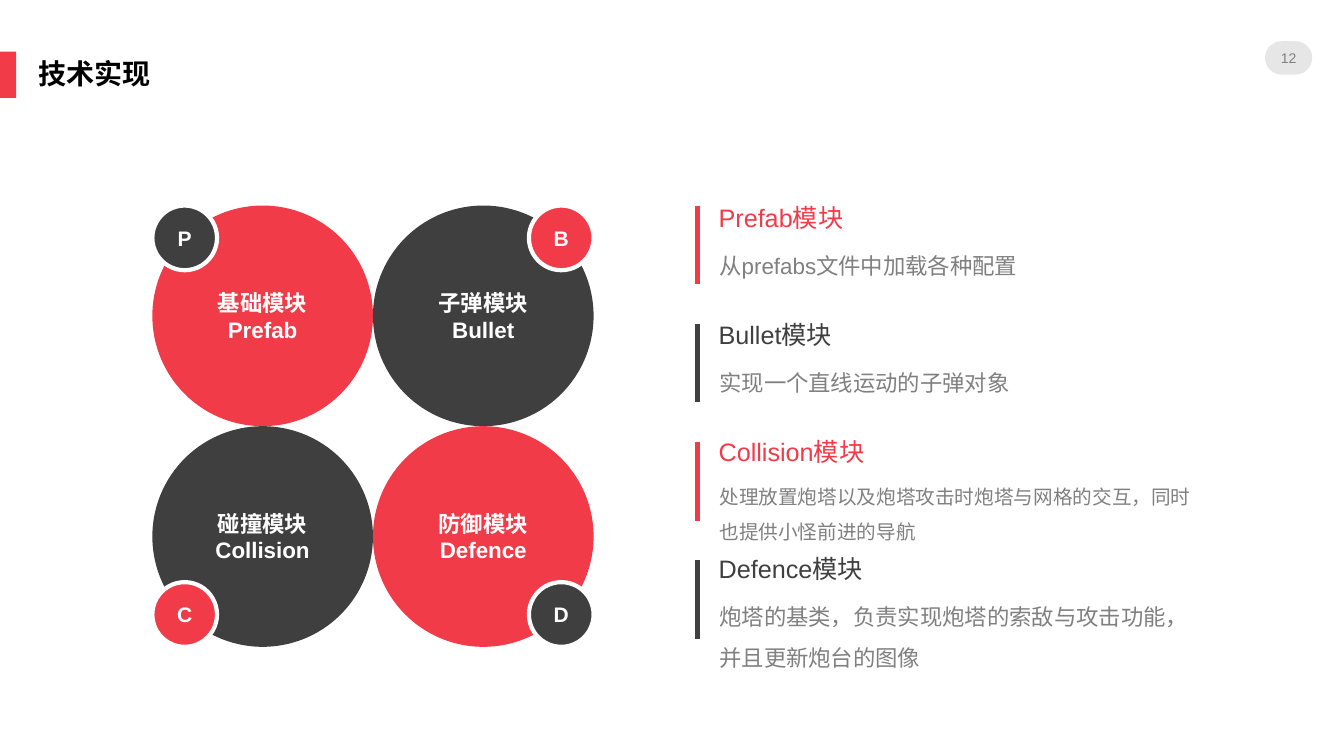
from dataclasses import dataclass

from lxml.etree import SubElement
from pptx import Presentation
from pptx.dml.color import RGBColor
from pptx.enum.shapes import MSO_CONNECTOR, MSO_SHAPE
from pptx.enum.text import MSO_ANCHOR, PP_ALIGN
from pptx.oxml.ns import qn
from pptx.shapes.autoshape import Shape
from pptx.slide import Slide
from pptx.util import Cm, Pt

RED = RGBColor(0xF2, 0x3B, 0x48)
DARK = RGBColor(0x3F, 0x3F, 0x3F)
GRAY = RGBColor(0x80, 0x80, 0x80)
PALE = RGBColor(0xE7, 0xE6, 0xE6)
WHITE = RGBColor(0xFF, 0xFF, 0xFF)
BLACK = RGBColor(0x00, 0x00, 0x00)

GRID_LEFT, GRID_TOP = 3.84, 5.18
CIRCLE, BADGE = 5.56, 1.63
BAR_LEFT, BAR_HEIGHT, BAR_PITCH = 17.58, 1.98, 2.98
ENTRY_LEFT, ENTRY_WIDTH, ENTRY_PITCH = 18.11, 11.9, 2.95
HEADING_HEIGHT, DETAIL_HEIGHT = 0.84, 1.42

CENTERED = {"alignment": PP_ALIGN.CENTER}
HEADING = {"line_spacing": 0.9, "space_before": Pt(7.5)}
DETAIL = {"line_spacing": 1.5, "space_before": Pt(7.5)}
TITLE = {"line_spacing": 0.9, "space_before": Pt(10)}


@dataclass(frozen=True)
class Module:
    chinese: str
    english: str
    color: RGBColor
    badge_color: RGBColor
    detail: str
    detail_size: int = 16


MODULES = [
    Module("基础模块", "Prefab", RED, DARK, "从prefabs文件中加载各种配置"),
    Module("子弹模块", "Bullet", DARK, RED, "实现一个直线运动的子弹对象"),
    Module("碰撞模块", "Collision", DARK, RED,
           "处理放置炮塔以及炮塔攻击时炮塔与网格的交互，同时也提供小怪前进的导航", 14),
    Module("防御模块", "Defence", RED, DARK,
           "炮塔的基类，负责实现炮塔的索敌与攻击功能，并且更新炮台的图像"),
]


def write(sp: Shape, lines: list[str], size: float, color: RGBColor, layout: dict,
          bold: bool = False, anchor: MSO_ANCHOR = MSO_ANCHOR.TOP,
          margins: tuple[float, float] = (0, 0)) -> None:
    """Fill a shape with one paragraph per line; margins are (side, top and bottom) in cm."""
    tf = sp.text_frame
    tf.word_wrap = True
    tf.vertical_anchor = anchor
    tf.margin_left = tf.margin_right = Cm(margins[0])
    tf.margin_top = tf.margin_bottom = Cm(margins[1])
    for i, line in enumerate(lines):
        p = tf.add_paragraph() if i else tf.paragraphs[0]
        for name, value in layout.items():
            setattr(p, name, value)
        r = p.add_run()
        r.text = line
        for name, value in {"name": "Arial", "size": Pt(size), "bold": bold}.items():
            setattr(r.font, name, value)
        r.font.color.rgb = color


def add_box(s: Slide, left: float, top: float, width: float, height: float) -> Shape:
    return s.shapes.add_textbox(Cm(left), Cm(top), Cm(width), Cm(height))


def add_filled(s: Slide, kind: MSO_SHAPE, left: float, top: float,
               width: float, height: float, fill: RGBColor) -> Shape:
    sp = s.shapes.add_shape(kind, Cm(left), Cm(top), Cm(width), Cm(height))
    sp.shadow.inherit = False
    sp.fill.solid()
    sp.fill.fore_color.rgb = fill
    sp.line.fill.background()
    return sp


def add_bar(s: Slide, top: float, color: RGBColor) -> None:
    bar = s.shapes.add_connector(MSO_CONNECTOR.STRAIGHT, Cm(BAR_LEFT), Cm(top),
                                 Cm(BAR_LEFT), Cm(top + BAR_HEIGHT))
    bar.line.color.rgb = color
    bar.line.width = Pt(4)
    SubElement(bar._element.spPr, qn("a:effectLst"))


def add_header(s: Slide) -> None:
    add_filled(s, MSO_SHAPE.RECTANGLE, 0, 1.3, 0.41, 1.17, RED)
    pill = add_filled(s, MSO_SHAPE.ROUNDED_RECTANGLE, 31.88, 1.04, 1.19, 0.84, PALE)
    pill.adjustments[0] = 0.5
    write(pill, ["12"], 10, GRAY, CENTERED, anchor=MSO_ANCHOR.MIDDLE)
    title = add_box(s, 0.71, 1.4, 10.59, 1.17)
    write(title, ["技术实现"], 20, BLACK, TITLE, bold=True, margins=(0.25, 0.13))


def add_circle(s: Slide, i: int, m: Module) -> None:
    row, col = divmod(i, 2)
    sp = add_filled(s, MSO_SHAPE.OVAL, GRID_LEFT + col * CIRCLE, GRID_TOP + row * CIRCLE,
                    CIRCLE, CIRCLE, m.color)
    write(sp, [m.chinese, m.english], 16, WHITE, CENTERED, True, MSO_ANCHOR.MIDDLE)


def add_badge(s: Slide, i: int, m: Module) -> None:
    """Put the module's initial in the outer corner of its circle."""
    row, col = divmod(i, 2)
    reach = 2 * CIRCLE - BADGE
    sp = add_filled(s, MSO_SHAPE.OVAL, GRID_LEFT + col * reach, GRID_TOP + row * reach,
                    BADGE, BADGE, m.badge_color)
    sp.line.color.rgb = WHITE
    sp.line.width = Pt(3)
    write(sp, [m.english[0]], 15, WHITE, CENTERED, True, MSO_ANCHOR.MIDDLE)


def add_entry(s: Slide, i: int, m: Module) -> None:
    """Describe a module beside a bar, with bar colours alternating."""
    color = DARK if i % 2 else RED
    top = GRID_TOP + i * ENTRY_PITCH
    detail = add_box(s, ENTRY_LEFT + 0.02, top + HEADING_HEIGHT, ENTRY_WIDTH, DETAIL_HEIGHT)
    write(detail, [m.detail], m.detail_size, GRAY, DETAIL)
    heading = add_box(s, ENTRY_LEFT, top, ENTRY_WIDTH, HEADING_HEIGHT)
    write(heading, [f"{m.english}模块"], 18, color, HEADING)
    add_bar(s, GRID_TOP + i * BAR_PITCH, color)


def main() -> None:
    prs = Presentation()
    prs.slide_width, prs.slide_height = Cm(33.87), Cm(19.05)
    s = prs.slides.add_slide(prs.slide_layouts[6])
    add_header(s)
    for draw in (add_circle, add_badge, add_entry):
        for i, m in enumerate(MODULES):
            draw(s, i, m)
    prs.save("out.pptx")


if __name__ == "__main__":
    main()
